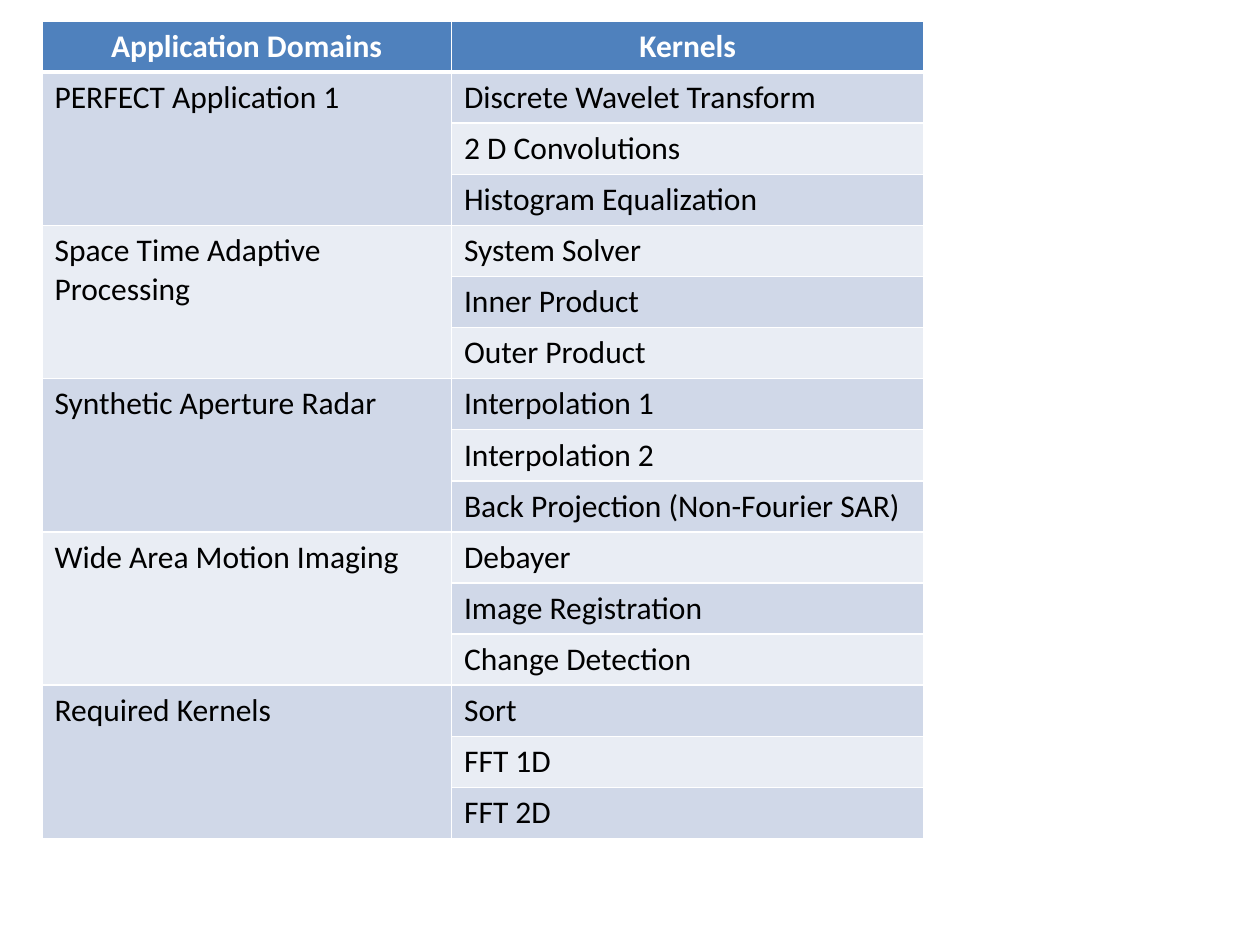
from dataclasses import dataclass

from lxml import etree
from pptx import Presentation
from pptx.dml.color import RGBColor
from pptx.enum.text import PP_ALIGN
from pptx.oxml.ns import qn
from pptx.util import Inches, Pt

LEFT, CENTER = PP_ALIGN.LEFT, PP_ALIGN.CENTER
SLIDE_WIDTH, SLIDE_HEIGHT = Inches(10), Inches(7.5)
BLANK_LAYOUT = 6


@dataclass(frozen=True)
class Theme:
    font: str = "Calibri"
    size: int = 18
    header: str = "4F81BD"
    bands: tuple = ("D0D8E8", "E9EDF4")
    rule: str = "FFFFFF"
    header_text: str = "FFFFFF"
    body_text: str = "000000"
    thin: int = 1
    thick: int = 3


THEME = Theme()
HEADINGS = ("Application Domains", "Kernels")
DOMAINS = {
    "PERFECT Application 1": (
        "Discrete Wavelet Transform", "2 D Convolutions", "Histogram Equalization"),
    "Space Time Adaptive Processing": (
        "System Solver", "Inner Product", "Outer Product"),
    "Synthetic Aperture Radar": (
        "Interpolation 1", "Interpolation 2", "Back Projection (Non-Fourier SAR)"),
    "Wide Area Motion Imaging": (
        "Debayer", "Image Registration", "Change Detection"),
    "Required Kernels": ("Sort", "FFT 1D", "FFT 2D"),
}


def write(frame, text, color=THEME.body_text, bold=False, align=LEFT):
    paragraph = frame.paragraphs[0]
    paragraph.alignment = align
    run = paragraph.add_run()
    run.text = text
    run.font.name = THEME.font
    run.font.size = Pt(THEME.size)
    run.font.bold = bold
    run.font.color.rgb = RGBColor.from_string(color)


def style_cell(cell, fill, top=THEME.thin, bottom=THEME.thin):
    properties = cell._tc.get_or_add_tcPr()
    widths = {"lnL": THEME.thin, "lnR": THEME.thin, "lnT": top, "lnB": bottom}
    for edge, width in widths.items():
        line = etree.SubElement(properties, qn(f"a:{edge}"), w=str(Pt(width)))
        solid = etree.SubElement(line, qn("a:solidFill"))
        etree.SubElement(solid, qn("a:srgbClr"), val=THEME.rule)
    cell.fill.solid()
    cell.fill.fore_color.rgb = RGBColor.from_string(fill)


def add_grid(slide, rows, left, top, widths, height):
    columns = [round(SLIDE_WIDTH * share) for share in widths]
    grid = slide.shapes.add_table(
        rows, len(columns), round(SLIDE_WIDTH * left), round(SLIDE_HEIGHT * top),
        sum(columns), round(SLIDE_HEIGHT * height)).table
    for column, width in zip(grid.columns, columns):
        column.width = width
    return grid


def fill_header(grid):
    for column, heading in enumerate(HEADINGS):
        cell = grid.cell(0, column)
        style_cell(cell, THEME.header, bottom=THEME.thick)
        write(cell.text_frame, heading, color=THEME.header_text, bold=True, align=CENTER)


def fill_domain(grid, first_row, band, domain, kernels):
    for offset, kernel in enumerate(kernels):
        row = first_row + offset
        top = THEME.thick if row == 1 else THEME.thin
        style_cell(grid.cell(row, 0), THEME.bands[band % 2], top=top)
        style_cell(grid.cell(row, 1), THEME.bands[(row - 1) % 2], top=top)
        write(grid.cell(row, 1).text_frame, kernel)
    domain_cell = grid.cell(first_row, 0)
    domain_cell.merge(grid.cell(first_row + len(kernels) - 1, 0))
    write(domain_cell.text_frame, domain)


def main():
    deck = Presentation()
    deck.slide_width, deck.slide_height = SLIDE_WIDTH, SLIDE_HEIGHT
    slide = deck.slides.add_slide(deck.slide_layouts[BLANK_LAYOUT])
    row_count = 1 + sum(len(kernels) for kernels in DOMAINS.values())
    grid = add_grid(slide, row_count, left=1 / 30, top=1 / 45,
                    widths=(0.325, 0.375), height=6.49 / 7.5)
    fill_header(grid)
    row = 1
    for band, (domain, kernels) in enumerate(DOMAINS.items()):
        fill_domain(grid, row, band, domain, kernels)
        row += len(kernels)
    deck.save("out.pptx")


main()
